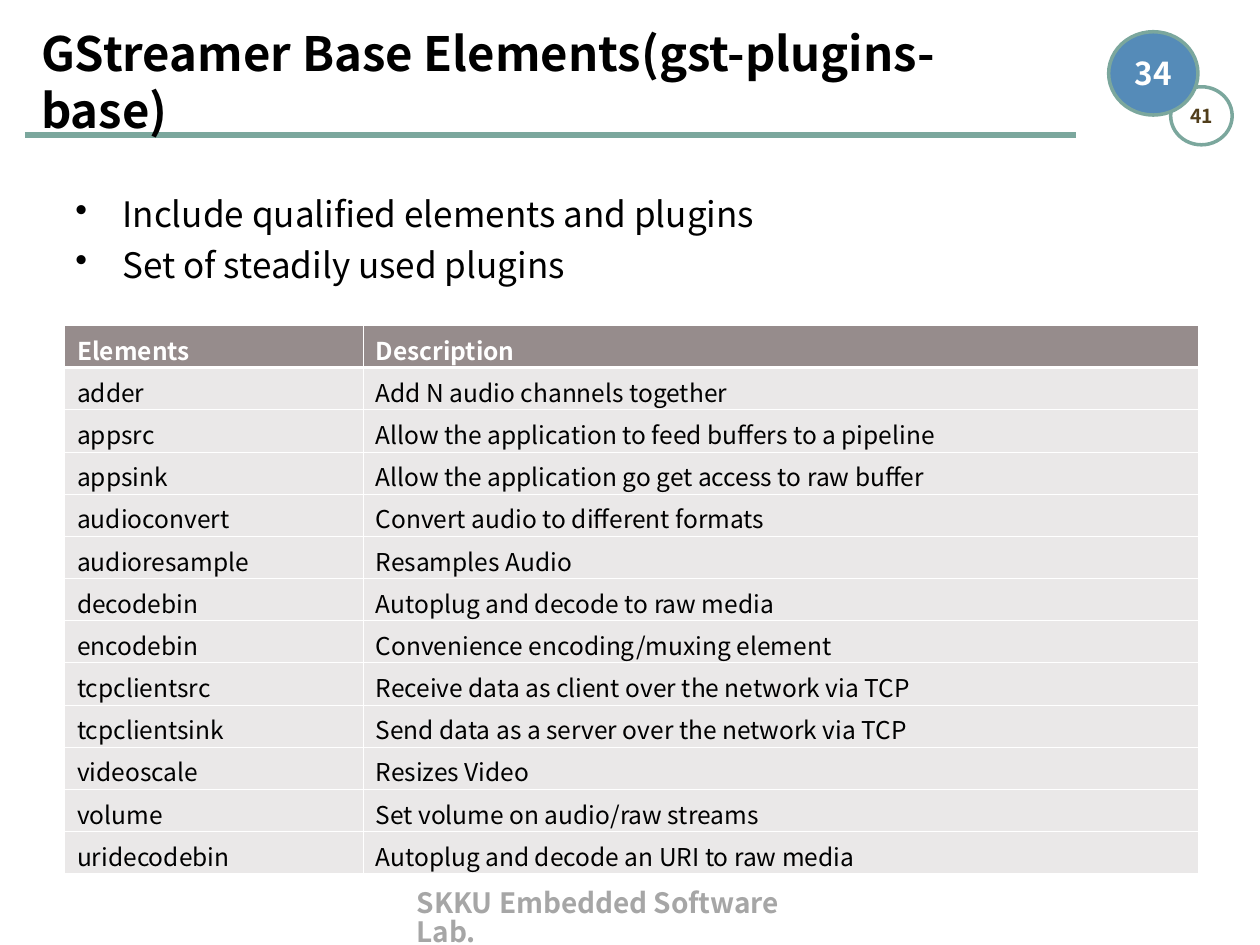
from lxml import etree
from pptx import Presentation
from pptx.dml.color import RGBColor
from pptx.enum.shapes import MSO_CONNECTOR, MSO_SHAPE
from pptx.enum.text import MSO_ANCHOR, PP_ALIGN
from pptx.oxml.ns import qn
from pptx.util import Cm, Pt

STRAIGHT = MSO_CONNECTOR.STRAIGHT
OVAL = MSO_SHAPE.OVAL
MIDDLE = MSO_ANCHOR.MIDDLE
CENTER = PP_ALIGN.CENTER

FONT = "Noto Sans CJK KR"
BLACK, WHITE, GREEN = "000000", "FFFFFF", "7BA79D"
HEADER_FILL, BODY_FILL = "968C8C", "EAE8E8"

TITLE = "GStreamer Base Elements(gst-plugins-base)"
FOOTER = "SKKU Embedded Software Lab."
BULLETS = ["Include qualified elements and plugins", "Set of steadily used plugins"]
PAGE_BADGES = [
    ("41", (23.6, 1.75, 1.24, 1.17), WHITE, "513E1B", 11),
    ("34", (22.35, 0.64, 1.8, 1.68), "558BB8", WHITE, 18),
]
ELEMENTS = [
    ("Elements", "Description"),
    ("adder", "Add N audio channels together"),
    ("appsrc", "Allow the application to feed buffers to a pipeline"),
    ("appsink", "Allow the application go get access to raw buffer"),
    ("audioconvert", "Convert audio to different formats"),
    ("audioresample", "Resamples Audio"),
    ("decodebin", "Autoplug and decode to raw media"),
    ("encodebin", "Convenience encoding/muxing element"),
    ("tcpclientsrc", "Receive data as client over the network via TCP"),
    ("tcpclientsink", "Send data as a server over the network via TCP"),
    ("videoscale", "Resizes Video"),
    ("volume", "Set volume on audio/raw streams"),
    ("uridecodebin", "Autoplug and decode an URI to raw media"),
]
COLUMN_WIDTHS = [6.02, 16.84]
ROW_HEIGHT = 0.85
THIN, THICK = 0.45, 1.47


def color(value):
    return RGBColor.from_string(value)


def style(text_frame, size, font_color, bold=False):
    for paragraph in text_frame.paragraphs:
        for run in paragraph.runs:
            run.font.name = FONT
            run.font.size = Pt(size)
            run.font.bold = bold
            run.font.color.rgb = color(font_color)


def add_text(slide, box, text, size, font_color, bold=False):
    text_frame = slide.shapes.add_textbox(*map(Cm, box)).text_frame
    text_frame.word_wrap = True
    text_frame.text = text
    style(text_frame, size, font_color, bold)
    return text_frame


def add_bullet(paragraph):
    properties = paragraph._p.get_or_add_pPr()
    properties.set("marL", str(Cm(0.95)))
    properties.set("indent", str(Cm(-0.95)))
    etree.SubElement(properties, qn("a:buChar")).set("char", "•")


def add_badge(slide, text, box, fill, font_color, size):
    badge = slide.shapes.add_shape(OVAL, *map(Cm, box))
    badge.shadow.inherit = False
    badge.fill.solid()
    badge.fill.fore_color.rgb = color(fill)
    badge.line.color.rgb = color(GREEN)
    badge.line.width = Pt(2)
    text_frame = badge.text_frame
    text_frame.margin_left = text_frame.margin_right = Cm(0.1)
    text_frame.margin_top = text_frame.margin_bottom = Cm(0.1)
    text_frame.vertical_anchor = MIDDLE
    text_frame.text = text
    text_frame.paragraphs[0].alignment = CENTER
    style(text_frame, size, font_color, True)


def set_borders(cell, widths):
    properties = cell._tc.get_or_add_tcPr()
    for index, (side, width) in enumerate(widths.items()):
        border = etree.Element(qn("a:ln" + side), w=str(Pt(width)))
        fill = etree.SubElement(border, qn("a:solidFill"))
        etree.SubElement(fill, qn("a:srgbClr")).set("val", WHITE)
        properties.insert(index, border)


def add_elements_table(slide):
    row_count = len(ELEMENTS)
    table = slide.shapes.add_table(
        row_count, len(COLUMN_WIDTHS), Cm(1.3), Cm(6.56),
        Cm(sum(COLUMN_WIDTHS)), Cm(ROW_HEIGHT * row_count)).table
    for column, width in zip(table.columns, COLUMN_WIDTHS):
        column.width = Cm(width)
    for row_index, texts in enumerate(ELEMENTS):
        table.rows[row_index].height = Cm(ROW_HEIGHT)
        header = row_index == 0
        for column_index, text in enumerate(texts):
            cell = table.cell(row_index, column_index)
            cell.text_frame.text = text
            style(cell.text_frame, 14, WHITE if header else BLACK, header)
            cell.fill.solid()
            cell.fill.fore_color.rgb = color(HEADER_FILL if header else BODY_FILL)
            set_borders(cell, {
                "L": THIN, "R": THIN,
                "T": THICK if row_index == 1 else THIN,
                "B": THICK if header else THIN})


def main():
    presentation = Presentation()
    presentation.slide_width, presentation.slide_height = Cm(25.4), Cm(19.05)
    slide = presentation.slides.add_slide(presentation.slide_layouts[6])

    add_text(slide, (8.15, 17.81, 9.09, 0.84), FOOTER, 16, "A6A6A6",
             True).paragraphs[0].line_spacing = 0.87

    rule = slide.shapes.add_connector(STRAIGHT, Cm(0.5), Cm(2.72), Cm(21.7), Cm(2.72))
    rule.line.color.rgb = color(GREEN)
    rule.line.width = Pt(3)
    etree.SubElement(rule._element.spPr, qn("a:effectLst"))

    for badge in PAGE_BADGES:
        add_badge(slide, *badge)

    add_elements_table(slide)

    title = add_text(slide, (0.58, 0.46, 20.83, 2.34), TITLE, 27, BLACK, True)
    title.vertical_anchor = MIDDLE

    body = add_text(slide, (1.27, 3.76, 22.86, 13.49), "\n".join(BULLETS), 20, BLACK)
    for index, paragraph in enumerate(body.paragraphs):
        add_bullet(paragraph)
        if index:
            paragraph.space_before = Pt(5)

    presentation.save("out.pptx")


if __name__ == "__main__":
    main()
